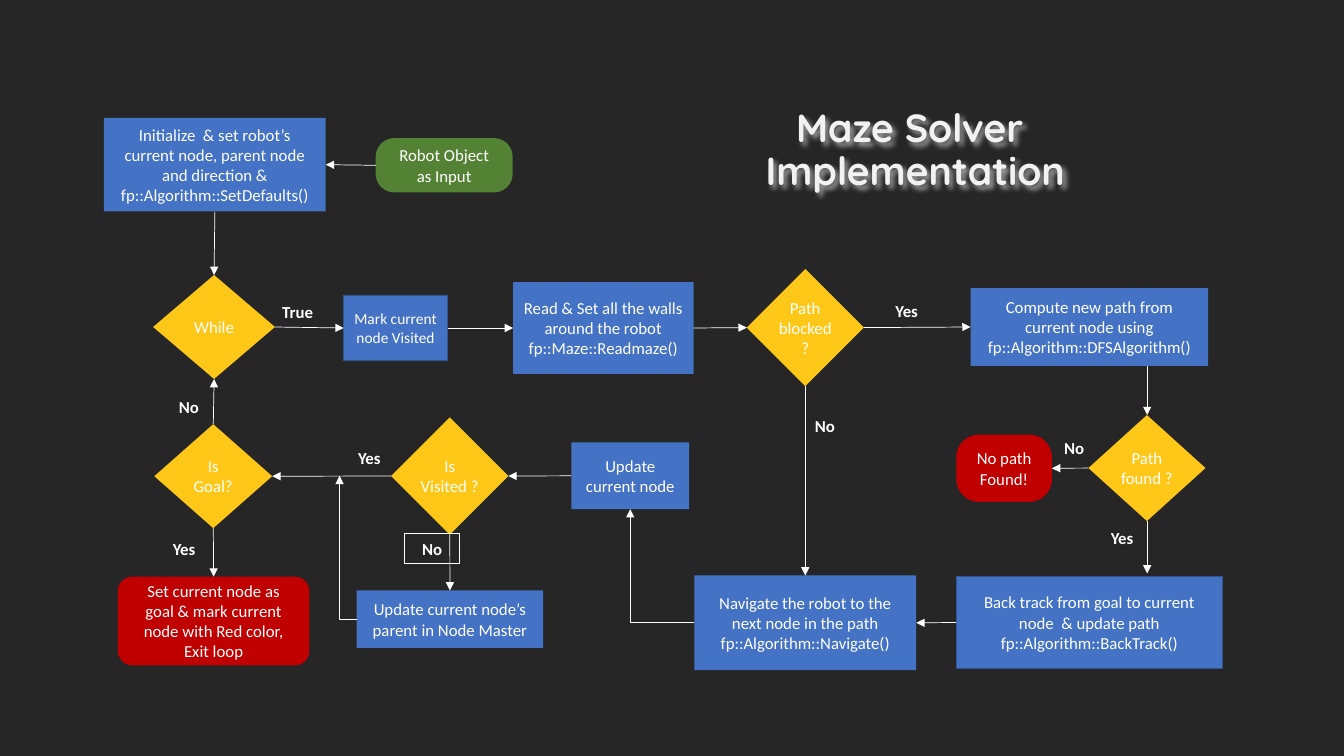
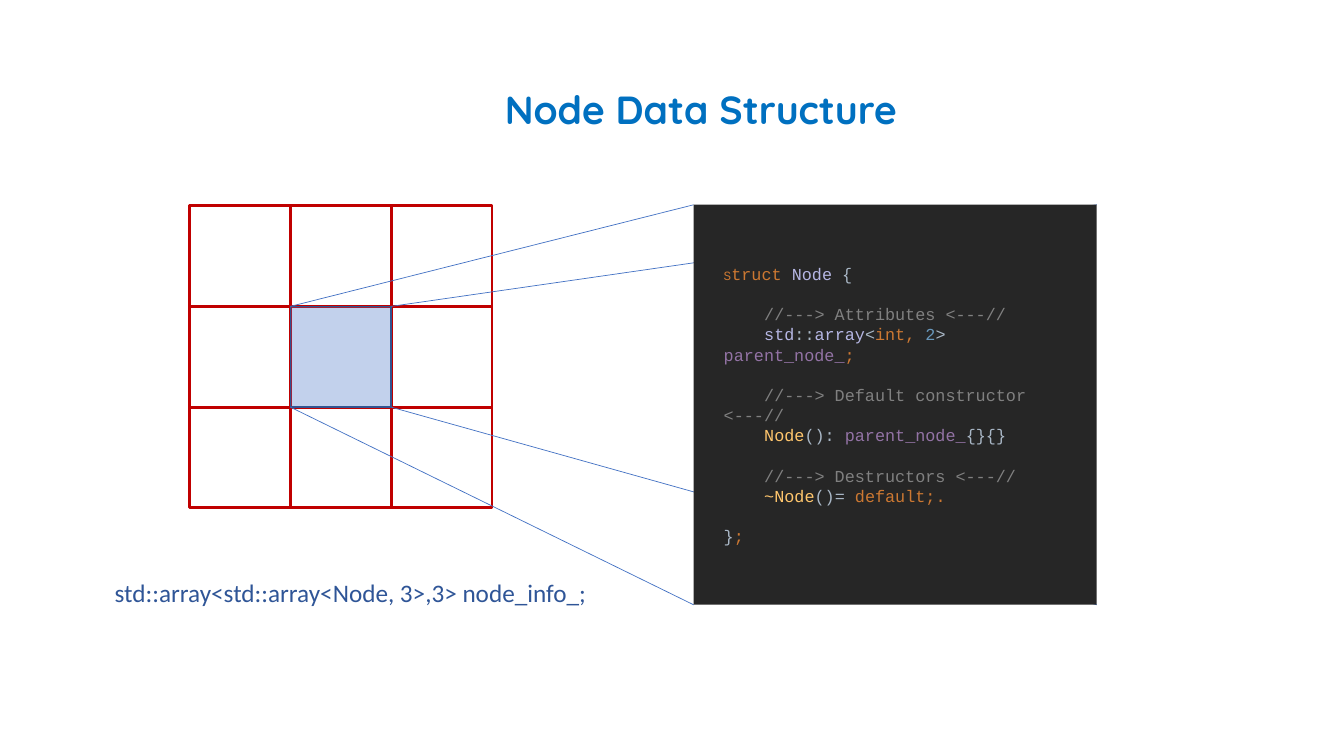
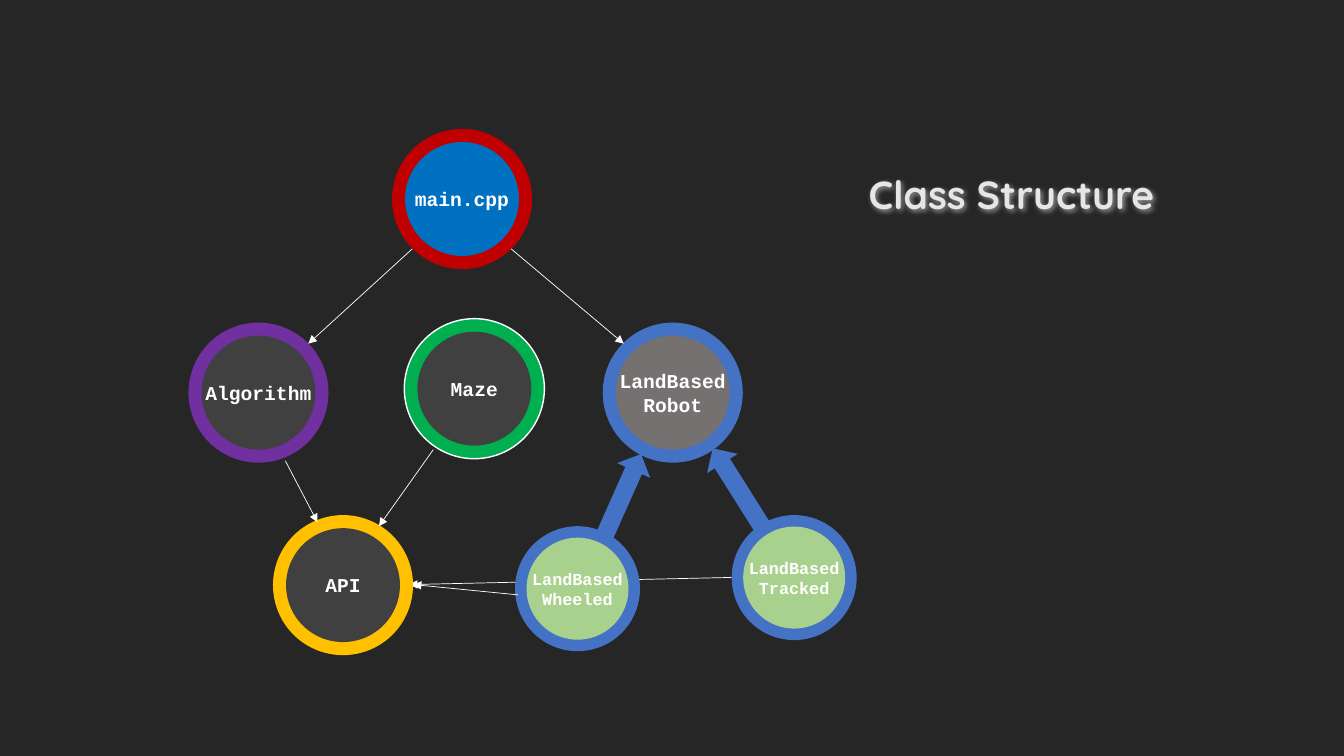
"""Build three slides on a maze solver: its flow, its node data and its classes."""
import itertools

import lxml.etree
import pptx
import pptx.dml.color
import pptx.enum.shapes
import pptx.enum.text
import pptx.oxml.ns
import pptx.util

Cm = pptx.util.Cm
Pt = pptx.util.Pt
qn = pptx.oxml.ns.qn
rgb = pptx.dml.color.RGBColor.from_string
Shape = pptx.enum.shapes.MSO_SHAPE
Link = pptx.enum.shapes.MSO_CONNECTOR
Align = pptx.enum.text.PP_ALIGN
Anchor = pptx.enum.text.MSO_ANCHOR


class Theme:
    dark, white, pale, silver = "262626", "FFFFFF", "F2F2F2", "E7E6E6"
    blue, navy, deep, azure = "4472C4", "325491", "2F5597", "0070C0"
    red, green, gold, amber = "C00000", "548235", "FFC819", "FFC000"
    violet, lime, leaf = "7030A0", "00B050", "A9D18E"
    slate, stone = "404040", "767171"
    key, name, sign, note = "CC7832", "B5B6E3", "A9B7C6", "808080"
    digit, field, call = "6897BB", "9373A5", "FFC66D"
    head, body, code = "Quicksand", "Calibri", "Courier New"
    title, large, label, text, small, tiny = 28, 18, 14, 12, 11, 9
    thin, frame, edge, thick = 0.5, 0.75, 1, 2


def box(slide, kind, x, y, w, h, fill=None, text="", size=Theme.text, font=Theme.body,
        color=Theme.white, bold=False, edge=None, width=Theme.edge, align=Align.CENTER, wrap=True):
    place = Cm(x), Cm(y), Cm(w), Cm(h)
    if kind is None:
        shape = slide.shapes.add_textbox(*place)
    else:
        shape = slide.shapes.add_shape(kind, *place)
        shape.shadow.inherit = False
    if fill:
        shape.fill.solid()
        shape.fill.fore_color.rgb = rgb(fill)
    else:
        shape.fill.background()
    if edge:
        shape.line.color.rgb = rgb(edge)
        shape.line.width = Pt(width)
    else:
        shape.line.fill.background()
    frame = shape.text_frame
    frame.word_wrap = wrap
    frame.vertical_anchor = Anchor.MIDDLE
    frame.text = text
    for para in frame.paragraphs:
        para.alignment = align
        para.font.size = Pt(size)
        para.font.name = font
        para.font.bold = bold
        para.font.color.rgb = rgb(color)
    return shape


def draw(slide, x1=0, y1=0, x2=0, y2=0, color=Theme.white, width=Theme.thin, arrow=True, bent=False):
    kind = Link.ELBOW if bent else Link.STRAIGHT
    line = slide.shapes.add_connector(kind, Cm(x1), Cm(y1), Cm(x2), Cm(y2))
    line.line.color.rgb = rgb(color)
    line.line.width = Pt(width)
    props = line._element.spPr
    if bent:
        props.find(qn("a:prstGeom")).set("prst", "bentConnector2")
    if arrow:
        lxml.etree.SubElement(props.find(qn("a:ln")), qn("a:tailEnd"), type="triangle")
    lxml.etree.SubElement(props, qn("a:effectLst"))
    return line


deck = pptx.Presentation()
deck.slide_width, deck.slide_height = Cm(33.87), Cm(19.05)
pages = []
for text, back, color, anchor, glow, place in [
    ("Maze Solver \vImplementation", Theme.dark, Theme.pale, Anchor.TOP, 38100, (16.92, 2.62, 12.29, 2.72)),
    ("Node Data Structure", Theme.white, Theme.azure, Anchor.MIDDLE, None, (12.07, 1.98, 11.18, 1.68)),
    ("Class Structure", Theme.dark, Theme.silver, Anchor.MIDDLE, 19050, (19.35, 4.24, 12.27, 1.42)),
]:
    page = deck.slides.add_slide(deck.slide_layouts[5])
    page.background.fill.solid()
    page.background.fill.fore_color.rgb = rgb(back)
    title = page.shapes.title
    title.left, title.top, title.width, title.height = map(Cm, place)
    frame = title.text_frame
    frame.text = text
    frame.word_wrap = True
    frame.auto_size = pptx.enum.text.MSO_AUTO_SIZE.NONE
    frame.vertical_anchor = anchor
    para = frame.paragraphs[0]
    para.alignment = Align.CENTER
    para.line_spacing = 0.9
    para.font.size = Pt(Theme.title)
    para.font.name = Theme.head
    para.font.bold = True
    para.font.color.rgb = rgb(color)
    if glow:
        effect = lxml.etree.SubElement(title._element.spPr, qn("a:effectLst"))
        shade = lxml.etree.SubElement(effect, qn("a:outerShdw"), blurRad="50800", dist=str(glow), dir="2700000")
        tint = lxml.etree.SubElement(shade, qn("a:srgbClr"), val=color)
        lxml.etree.SubElement(tint, qn("a:alpha"), val="60000")
    pages.append(page)
flow, data, tree = pages

steps = {}
for name, kind, fill, x, y, w, h, text in [
    ("robot", Shape.ROUNDED_RECTANGLE, Theme.green, 9.47, 3.48, 3.45, 1.37, "Robot Object as Input"),
    ("start", Shape.RECTANGLE, Theme.blue, 2.62, 2.97, 5.59, 2.36,
     "Initialize  & set robot’s current node, parent node and direction &\nfp::Algorithm::SetDefaults()"),
    ("while", Shape.DIAMOND, Theme.gold, 3.86, 6.93, 3.07, 2.62, "While"),
    ("mark", Shape.RECTANGLE, Theme.blue, 8.66, 7.44, 2.62, 1.65, "Mark current node Visited"),
    ("read", Shape.RECTANGLE, Theme.blue, 12.93, 7.11, 4.55, 2.31,
     "Read & Set all the walls around the robot\nfp::Maze::Readmaze()"),
    ("blocked", Shape.DIAMOND, Theme.gold, 18.82, 6.78, 2.95, 2.95, "Path\vblocked\v?"),
    ("compute", Shape.RECTANGLE, Theme.blue, 24.46, 7.26, 5.99, 1.96,
     "Compute new path from current node using\nfp::Algorithm::DFSAlgorithm()"),
    ("found", Shape.DIAMOND, Theme.gold, 27.43, 10.46, 2.95, 2.67, "Path\vfound ?"),
    ("lost", Shape.ROUNDED_RECTANGLE, Theme.red, 24.1, 10.95, 2.41, 1.7, "No path Found!"),
    ("track", Shape.RECTANGLE, Theme.blue, 24.1, 14.53, 6.71, 2.31,
     "Back track from goal to current node  & update path\nfp::Algorithm::BackTrack()"),
    ("move", Shape.RECTANGLE, Theme.blue, 17.5, 14.5, 5.59, 2.39,
     "Navigate the robot to the next node in the path\nfp::Algorithm::Navigate()"),
    ("update", Shape.RECTANGLE, Theme.blue, 14.4, 11.15, 2.97, 1.68, "Update current node"),
    ("seen", Shape.DIAMOND, Theme.gold, 9.86, 10.52, 2.95, 2.95, "Is\nVisited ?"),
    ("parent", Shape.RECTANGLE, Theme.blue, 8.99, 14.88, 4.7, 1.45,
     "Update current node’s parent in Node Master"),
    ("goal", Shape.DIAMOND, Theme.gold, 3.89, 10.69, 2.97, 2.62, "Is\nGoal?"),
    ("exit", Shape.ROUNDED_RECTANGLE, Theme.red, 2.97, 14.53, 4.83, 2.24,
     "Set current node as goal & mark current node with Red color, Exit loop"),
]:
    steps[name] = box(flow, kind, x, y, w, h, fill, text,
                      size=Theme.small if name == "mark" else Theme.text,
                      edge=Theme.navy if name in ("mark", "track") else None,
                      wrap=kind != Shape.DIAMOND)
for name in ("robot", "lost"):
    steps[name].adjustments[0] = 0.34

top, left, base, right = range(4)
for first, out, last, into in [
    ("robot", left, "start", right),
    ("start", base, "while", top),
    ("while", right, "mark", left),
    ("mark", right, "read", left),
    ("read", right, "blocked", left),
    ("blocked", right, "compute", left),
    ("blocked", base, "move", top),
    ("found", left, "lost", right),
    ("track", left, "move", right),
    ("move", left, "update", base),
    ("update", left, "seen", right),
    ("seen", left, "goal", right),
    ("seen", base, "parent", top),
    ("goal", top, "while", base),
    ("goal", base, "exit", top),
]:
    line = draw(flow, bent=(out, into) == (left, base))
    line.begin_connect(steps[first], out)
    line.end_connect(steps[last], into)
draw(flow, 28.91, 9.22, 28.91, 10.46)
draw(flow, 28.91, 13.13, 28.91, 14.45)
draw(flow, 8.99, 15.6, 8.56, 11.99, bent=True)

for text, x, y, edge in [
    ("True", 6.8, 7.49, None),
    ("No", 4.06, 9.86, None),
    ("Yes", 3.94, 13.44, None),
    ("Yes", 8.61, 11.15, None),
    ("No", 10.19, 13.44, Theme.white),
    ("Yes", 22.15, 7.44, None),
    ("No", 20.09, 10.34, None),
    ("No", 26.37, 10.9, None),
    ("Yes", 27.58, 13.18, None),
]:
    box(flow, None, x, y, 1.4, 0.76, text=text, bold=True, edge=edge, width=Theme.frame)

cell, x, y = 2.54, 4.78, 5.18
box(data, Shape.RECTANGLE, x, y, 3 * cell, 3 * cell, edge=Theme.red, width=Theme.thick)
for step in (cell, 2 * cell):
    draw(data, x + step, y, x + step, y + 3 * cell, Theme.red, Theme.thick, arrow=False)
    draw(data, x, y + step, x + 3 * cell, y + step, Theme.red, Theme.thick, arrow=False)
node = box(data, Shape.RECTANGLE, x + cell, y + cell, cell, cell, Theme.blue, edge=Theme.navy)
tint = node._element.spPr.find(qn("a:solidFill")).find(qn("a:srgbClr"))
lxml.etree.SubElement(tint, qn("a:alpha"), val="32000")

px, py, pw, ph = 17.48, 5.16, 10.16, 10.08
for i, j in itertools.product((0, 1), repeat=2):
    draw(data, x + cell * (1 + i), y + cell * (1 + j), px + pw * i, py + ph * j, Theme.blue, arrow=False)

code = [
    (0, 0, [("S", Theme.key), ("truct ", Theme.key), ("Node ", Theme.name), ("{", Theme.sign)]),
    (1, 1, [("//---> Attributes <---//", Theme.note)]),
    (1, 0, [("std", Theme.name), ("::", Theme.sign), ("array", Theme.name), ("<", Theme.sign),
            ("int, ", Theme.key), ("2", Theme.digit), ("> ", Theme.sign),
            ("parent_node_", Theme.field), (";", Theme.key)]),
    (1, 1, [("//---> Default constructor <---//", Theme.note)]),
    (1, 0, [("Node", Theme.call), ("(): ", Theme.sign), ("parent_node_", Theme.field), ("{}{}", Theme.sign)]),
    (1, 1, [("//---> Destructors <---//", Theme.note)]),
    (1, 0, [("~Node", Theme.call), ("()= ", Theme.sign), ("default;.", Theme.key)]),
    (0, 1, [("}", Theme.sign), (";", Theme.key)]),
]
panel = box(data, Shape.RECTANGLE, px, py, pw, ph, Theme.dark, "\n" * (len(code) - 1),
            font=Theme.code, align=Align.LEFT)
panel.text_frame.margin_left, panel.text_frame.margin_right = Cm(0.76), Cm(0.58)
for para, (depth, gap, parts) in zip(panel.text_frame.paragraphs, code):
    para.space_before = Pt(14.4 * gap)
    para._p.get_or_add_pPr().set("indent", str(Cm(1.02 * depth)))
    for text, color in parts:
        run = para.add_run()
        run.text = text
        run.font.color.rgb = rgb(color)
panel.text_frame.paragraphs[0].runs[0].font.size = Pt(Theme.tiny)
box(data, None, 2.64, 14.43, 13, 1.02, text="std::array<std::array<Node, 3>,3> node_info_;",
    size=Theme.large, color=Theme.deep, align=Align.LEFT)

draw(tree, 18.44, 14.55, 10.31, 14.73)
big, mid = (3.53, 0.33, Theme.label), (3.15, 0.29, Theme.text)
for text, x, y, (size, inset, point), ring, core, edge in [
    ("main.cpp", 9.88, 3.25, big, Theme.red, Theme.azure, None),
    ("Algorithm", 4.75, 8.13, big, Theme.violet, Theme.slate, None),
    ("Maze", 10.19, 8.03, big, Theme.lime, Theme.slate, Theme.white),
    ("LandBased\nRobot", 15.19, 8.13, big, Theme.blue, Theme.stone, None),
    ("API", 6.88, 12.98, big, Theme.amber, Theme.slate, None),
    ("LandBased\nWheeled", 12.98, 13.26, mid, Theme.blue, Theme.leaf, None),
    ("LandBased\nTracked", 18.44, 12.98, mid, Theme.blue, Theme.leaf, None),
]:
    box(tree, Shape.OVAL, x, y, size, size, ring, edge=edge)
    box(tree, Shape.OVAL, x + inset, y + inset, size - 2 * inset, size - 2 * inset, core, text,
        size=point, font=Theme.code, bold=True, wrap=False)
for x, y, w, turn in [(17.4, 11.86, 2.41, 237.8), (14.53, 12.04, 2.31, 294)]:
    box(tree, Shape.RIGHT_ARROW, x, y, w, 0.91, Theme.blue).rotation = turn
for ends in [
    (10.39, 6.27, 7.77, 8.66),
    (12.88, 6.27, 15.72, 8.66),
    (7.19, 11.61, 8, 13.16),
    (10.92, 11.33, 9.55, 13.26),
    (13.06, 14.99, 10.41, 14.73),
]:
    draw(tree, *ends)

deck.save("out.pptx")
